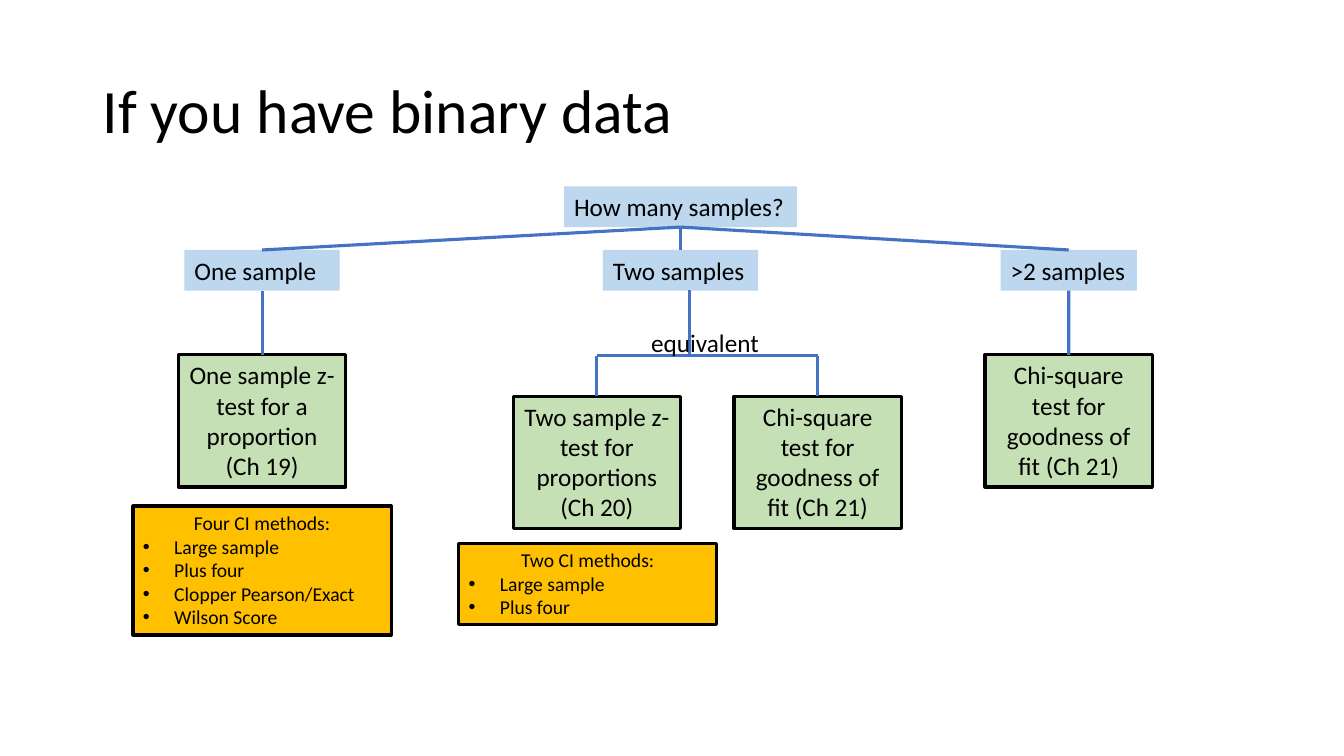
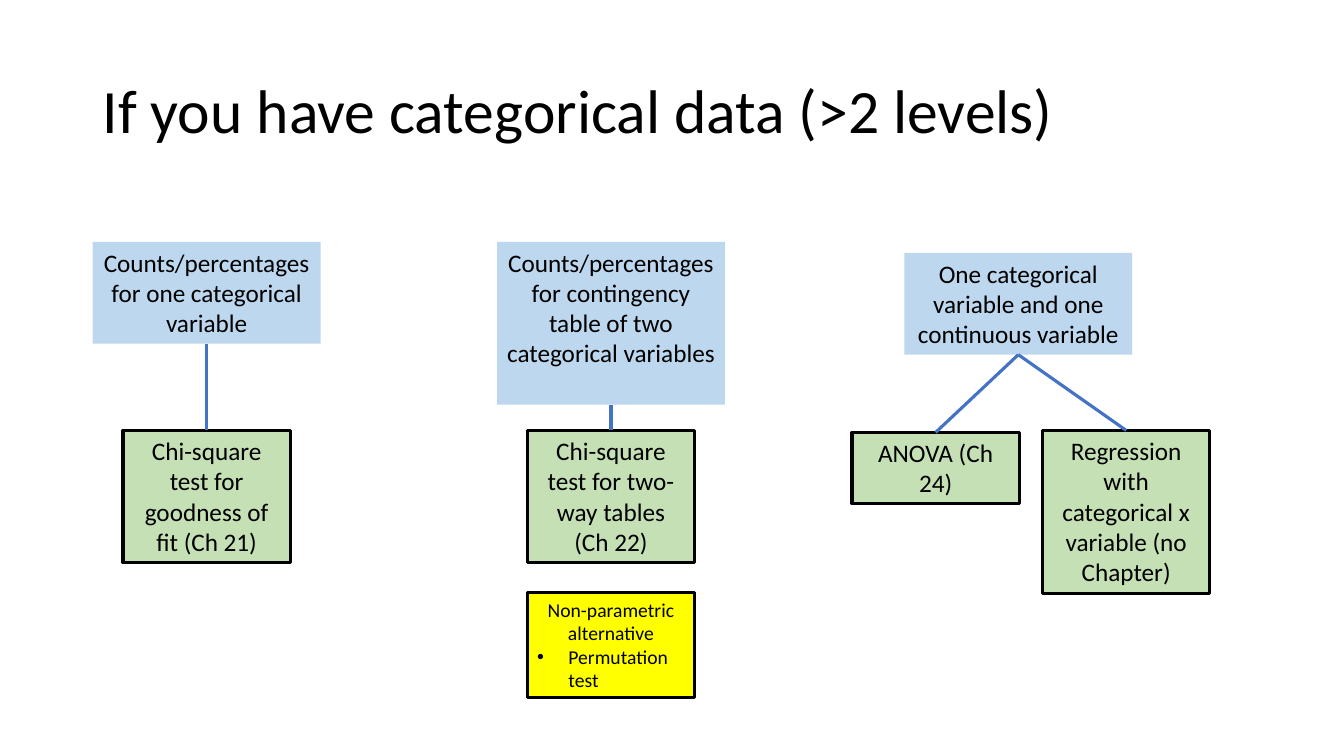
from dataclasses import dataclass

from lxml import etree
from pptx import Presentation
from pptx.dml.color import RGBColor
from pptx.enum.shapes import MSO_CONNECTOR, MSO_SHAPE
from pptx.enum.text import MSO_ANCHOR, PP_ALIGN
from pptx.oxml.ns import qn
from pptx.util import Inches, Pt

RECTANGLE, STRAIGHT = MSO_SHAPE.RECTANGLE, MSO_CONNECTOR.STRAIGHT
TOP, MIDDLE = MSO_ANCHOR.TOP, MSO_ANCHOR.MIDDLE
LEFT, CENTER = PP_ALIGN.LEFT, PP_ALIGN.CENTER
BOTTOM_SITE, TOP_SITE = 2, 0


@dataclass(frozen=True)
class Theme:
    font: str = "Calibri"
    ink: str = "000000"
    branch: str = "4472C4"
    question: str = "BDD7EE"
    test: str = "C5E0B4"
    interval: str = "FFC000"
    alternative: str = "FFFF00"
    title_size: int = 44
    body_size: int = 18
    note_size: int = 14
    stroke: float = 2.25


THEME = Theme()
COLUMNS, ROWS = 13.33, 7.5
TITLE_AREA = (0.92, 0.4, 11.5, 1.45)
PADDING = 0.1
BULLET_INDENT = 0.31
LINE_ROWS = {THEME.body_size: 0.303, THEME.note_size: 0.236}

# kind: fill, outlined, type size, alignment
KINDS = {
    "label": (THEME.question, False, THEME.body_size, LEFT),
    "question": (THEME.question, False, THEME.body_size, CENTER),
    "test": (THEME.test, True, THEME.body_size, CENTER),
    "interval": (THEME.interval, True, THEME.note_size, CENTER),
    "alternative": (THEME.alternative, True, THEME.note_size, CENTER),
}

GOODNESS = "Chi-square test for goodness of fit (Ch 21)"
ONE, TWO, MANY = 2.6, 6.75, 10.6
PAIR = (5.92, 8.11)
STEM, BUS, PAIR_TOP = 6.84, 3.53, 3.93
SINGLE, CONTINGENCY, MIXED = 2.05, 6.06, 10.1

SLIDES = [
    {
        "title": "If you have binary data",
        # key: kind, centre column, top row, columns wide, lines tall, paragraphs
        "nodes": {
            "samples": ("label", TWO, 1.85, 2.31, 1, ["How many samples?"]),
            "one": ("label", ONE, 2.48, 1.54, 1, ["One sample"]),
            "two": ("label", TWO, 2.48, 1.54, 1, ["Two samples"]),
            "many": ("label", MANY, 2.48, 1.35, 1, [">2 samples"]),
            "one z": ("test", ONE, 3.52, 1.66, 4,
                      ["One sample z-test for a proportion (Ch 19)"]),
            "two z": ("test", PAIR[0], PAIR_TOP, 1.66, 4,
                      ["Two sample z-test for proportions (Ch 20)"]),
            "two chi": ("test", PAIR[1], PAIR_TOP, 1.66, 4, [GOODNESS]),
            "many chi": ("test", MANY, 3.52, 1.66, 4, [GOODNESS]),
            "one CI": ("interval", ONE, 5.02, 2.56, 5,
                       ["Four CI methods:", "Large sample", "Plus four",
                        "Clopper Pearson/Exact", "Wilson Score"]),
            "two CI": ("interval", 5.83, 5.39, 2.56, 3,
                       ["Two CI methods:", "Large sample", "Plus four"]),
        },
        "branches": [("samples", "one"), ("samples", "two"), ("samples", "many"),
                     ("one", "one z"), ("many", "many chi")],
        "rails": [(STEM, 2.88, STEM, BUS), (PAIR[0], BUS, PAIR[1], BUS)]
                 + [(column, BUS, column, PAIR_TOP) for column in PAIR],
        "captions": [("equivalent", (6.36, 3.2, 2.11, 0.4))],
    },
    {
        "title": "If you have categorical data (>2 levels)",
        "nodes": {
            "single": ("question", SINGLE, 2.4, 2.26, 3,
                       ["Counts/percentages for one categorical variable"]),
            "contingency": ("question", CONTINGENCY, 2.4, 2.26, 5,
                            ["Counts/percentages for contingency table of two "
                             "categorical variables"]),
            "mixed": ("question", MIXED, 2.51, 2.26, 3,
                      ["One categorical variable and one continuous variable"]),
            "goodness": ("test", SINGLE, 4.27, 1.66, 4, [GOODNESS]),
            "two-way": ("test", CONTINGENCY, 4.27, 1.66, 4,
                        ["Chi-square test for two-way tables (Ch 22)"]),
            "anova": ("test", 9.28, 4.29, 1.66, 2, ["ANOVA (Ch 24)"]),
            "regression": ("test", 11.17, 4.27, 1.66, 5,
                           ["Regression with categorical x variable (no Chapter)"]),
            "permutation": ("alternative", CONTINGENCY, 5.88, 1.66, 4,
                            ["Non-parametric alternative", "Permutation test"]),
        },
        "branches": [("single", "goodness"), ("contingency", "two-way"),
                     ("mixed", "anova"), ("mixed", "regression")],
        "rails": [],
        "captions": [],
    },
]


def rgb(value):
    return RGBColor.from_string(value)


def place(area):
    return [Inches(length) for length in area]


def add_bullet(paragraph):
    paragraph.alignment = LEFT
    properties = paragraph._p.get_or_add_pPr()
    properties.set("marL", str(Inches(BULLET_INDENT)))
    properties.set("indent", str(-Inches(BULLET_INDENT)))
    etree.SubElement(properties, qn("a:buFont")).set("typeface", "Arial")
    etree.SubElement(properties, qn("a:buChar")).set("char", "•")


def write(shape, paragraphs, size, alignment=LEFT, anchor=TOP):
    frame = shape.text_frame
    frame.word_wrap = True
    frame.vertical_anchor = anchor
    frame.text = "\n".join(paragraphs)
    for index, paragraph in enumerate(frame.paragraphs):
        paragraph.alignment = alignment
        if index:
            add_bullet(paragraph)
        for run in paragraph.runs:
            run.font.name = THEME.font
            run.font.size = Pt(size)
            run.font.color.rgb = rgb(THEME.ink)
    return frame


def add_caption(slide, text, area, size=THEME.body_size, anchor=TOP):
    return write(slide.shapes.add_textbox(*place(area)), [text], size, anchor=anchor)


def add_node(slide, kind, centre, top, width, lines, paragraphs):
    fill, outlined, size, alignment = KINDS[kind]
    height = lines * LINE_ROWS[size] + PADDING
    node = slide.shapes.add_shape(
        RECTANGLE, *place((centre - width / 2, top, width, height)))
    node.shadow.inherit = False
    node.fill.solid()
    node.fill.fore_color.rgb = rgb(fill)
    if outlined:
        node.line.color.rgb = rgb(THEME.ink)
        node.line.width = Pt(THEME.stroke)
    else:
        node.line.fill.background()
    write(node, paragraphs, size, alignment)
    return node


def add_line(slide, ends=(0, 0, 0, 0)):
    line = slide.shapes.add_connector(STRAIGHT, *place(ends))
    line.line.color.rgb = rgb(THEME.branch)
    line.line.width = Pt(THEME.stroke)
    etree.SubElement(line._element.spPr, qn("a:effectLst"))
    return line


def build_slide(deck, content):
    slide = deck.slides.add_slide(deck.slide_layouts[6])
    title = add_caption(slide, content["title"], TITLE_AREA, THEME.title_size, MIDDLE)
    title.paragraphs[0].line_spacing = 0.9
    nodes = {key: add_node(slide, *node) for key, node in content["nodes"].items()}
    for parent, child in content["branches"]:
        branch = add_line(slide)
        branch.begin_connect(nodes[parent], BOTTOM_SITE)
        branch.end_connect(nodes[child], TOP_SITE)
    for ends in content["rails"]:
        add_line(slide, ends)
    for text, area in content["captions"]:
        add_caption(slide, text, area)


def main():
    deck = Presentation()
    deck.slide_width, deck.slide_height = place((COLUMNS, ROWS))
    for content in SLIDES:
        build_slide(deck, content)
    deck.save("out.pptx")


if __name__ == "__main__":
    main()
